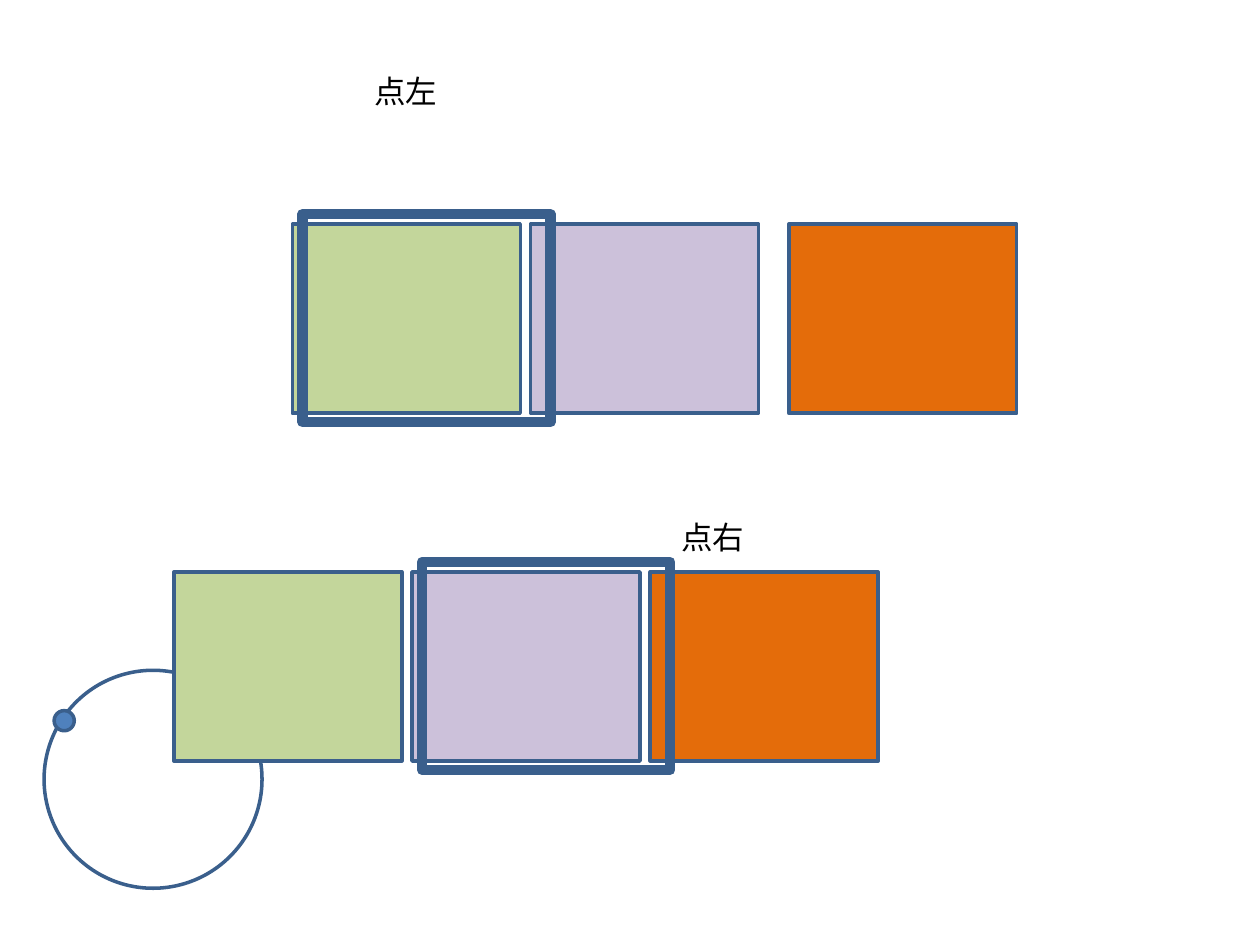
from dataclasses import dataclass
from typing import Optional

from pptx import Presentation
from pptx.dml import color
from pptx.enum import shapes, text
from pptx.util import Inches, Pt

COLOURS = {
    "green": "C3D69B", "orange": "E46C0A", "lilac": "CCC1DA",
    "blue": "4F81BD", "outline": "3A5F8C", "text": "000000",
}
RECT = shapes.MSO_SHAPE.RECTANGLE
OVAL = shapes.MSO_SHAPE.OVAL

# Grid of cards, in inches
CARD_W, CARD_H = 1.81, 1.5
STEP = 1.89            # card width plus the gap
FRAME_W, FRAME_H = 1.97, 1.65
FRAME_SHIFT = 0.08     # right of and above the framed card


@dataclass
class CardRow:
    left: float
    top: float
    framed: int              # column inside the frame
    orange_shift: float = 0  # extra gap before the last card


@dataclass
class Label:
    wording: str
    left: float
    top: float


def rgb(name: str) -> color.RGBColor:
    return color.RGBColor.from_string(COLOURS[name])


def add_outlined(parent, kind, left: float, top: float, width: float,
                 height: float, fill: Optional[str] = None, line: float = 2):
    shape = parent.add_shape(kind, Inches(left), Inches(top),
                             Inches(width), Inches(height))
    shape.shadow.inherit = False
    if fill:
        shape.fill.solid()
        shape.fill.fore_color.rgb = rgb(fill)
    else:
        shape.fill.background()
    shape.line.color.rgb = rgb("outline")
    shape.line.width = Pt(line)
    return shape


def add_row(page, row: CardRow) -> None:
    group = page.shapes.add_group_shape()
    cards = (("green", 0, 0), ("orange", 2, row.orange_shift), ("lilac", 1, 0))
    for fill, column, shift in cards:
        add_outlined(group.shapes, RECT, row.left + column * STEP + shift,
                     row.top, CARD_W, CARD_H, fill)
    add_outlined(page.shapes, RECT,
                 row.left + row.framed * STEP + FRAME_SHIFT,
                 row.top - FRAME_SHIFT, FRAME_W, FRAME_H, line=6)


def add_label(page, label: Label) -> None:
    box = page.shapes.add_textbox(Inches(label.left), Inches(label.top),
                                  Inches(0.71), Inches(0.4))
    frame = box.text_frame
    frame.text = label.wording
    frame.word_wrap = False
    frame.auto_size = text.MSO_AUTO_SIZE.SHAPE_TO_FIT_TEXT
    font = frame.paragraphs[0].runs[0].font
    font.name, font.size = "Calibri", Pt(18)
    font.color.rgb = rgb("text")


deck = Presentation()
deck.slide_width, deck.slide_height = Inches(10), Inches(7.5)
page = deck.slides.add_slide(deck.slide_layouts[6])

# Upper row, with the first card framed
add_row(page, CardRow(2.32, 1.78, framed=0, orange_shift=0.16))

# Ring with its dot, behind the lower row
add_outlined(page.shapes, OVAL, 0.35, 5.32, 1.73, 1.73)
add_outlined(page.shapes, OVAL, 0.43, 5.64, 0.16, 0.16, "blue")

# Lower row, with the second card framed
add_row(page, CardRow(1.38, 4.54, framed=1))

# Labels
for label in (Label("点左", 2.87, 0.52), Label("点右", 5.31, 4.06)):
    add_label(page, label)

deck.save("out.pptx")
